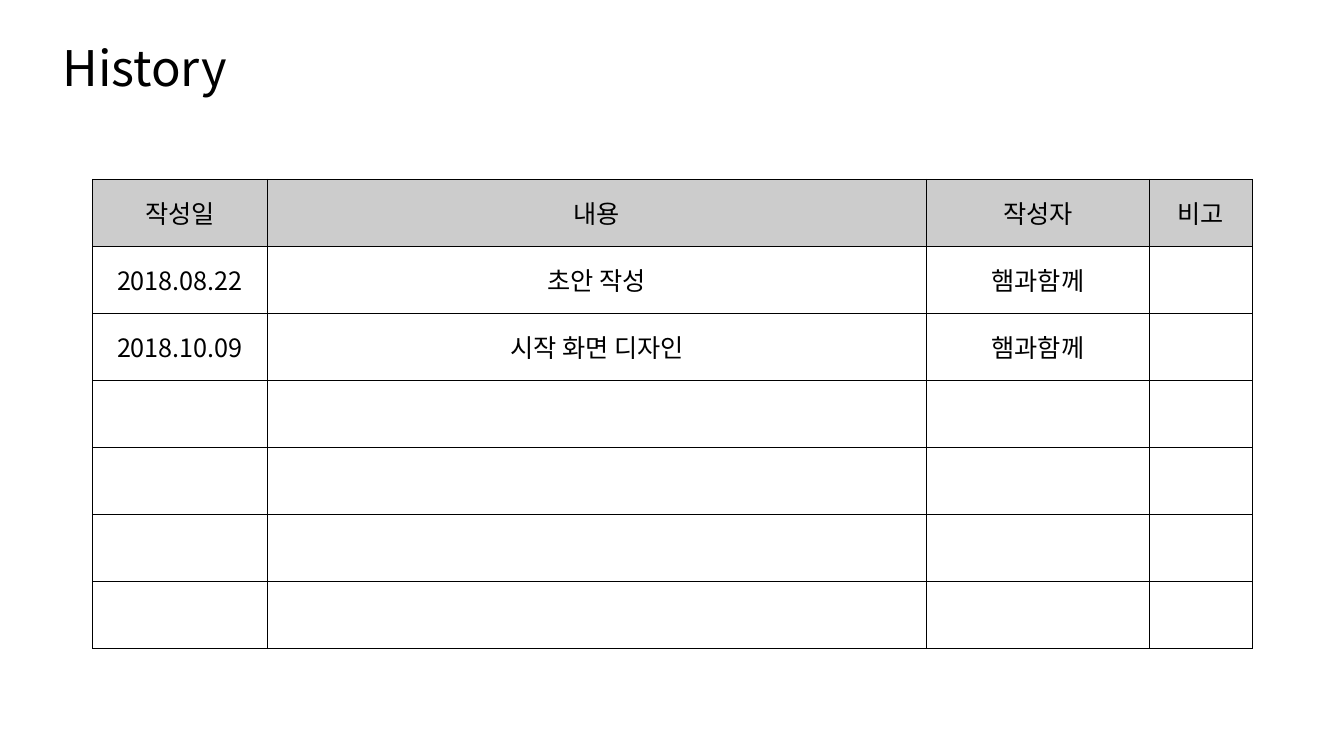
from lxml.etree import SubElement
from pptx import Presentation
from pptx.dml.color import RGBColor
from pptx.enum.text import MSO_ANCHOR, PP_ALIGN
from pptx.oxml.ns import qn
from pptx.util import Inches, Pt

BLACK = RGBColor(0x00, 0x00, 0x00)
HEADER_GRAY = RGBColor(0xCC, 0xCC, 0xCC)
TYPEFACE = "Noto Sans CJK KR"
BORDER_WIDTH = Pt(0.75)
ROW_COUNT = 7
ROW_HEIGHT = 4.65 / ROW_COUNT
COLUMN_WIDTHS = (1.73, 6.54, 2.21, 1.02)
HISTORY = (
    ("작성일", "내용", "작성자", "비고"),
    ("2018.08.22", "초안 작성", "햄과함께", ""),
    ("2018.10.09", "시작 화면 디자인", "햄과함께", ""),
)


class HistoryPage:
    """Holds the shared style and the slide being filled."""

    def __init__(self, page):
        self.page = page
        self.font_format = {"name": TYPEFACE}

    def add_span(self, para, text, size):
        span = para.add_run()
        span.text = text
        for name, value in {**self.font_format, "size": Pt(size)}.items():
            setattr(span.font, name, value)
        span.font.color.rgb = BLACK
        # Hangul takes its typeface from the East Asian slot
        east_asian = SubElement(span.font._element, qn("a:ea"))
        east_asian.set("typeface", TYPEFACE)

    def add_title(self, text, left, top, width, height):
        box = self.page.shapes.add_textbox(
            Inches(left), Inches(top), Inches(width), Inches(height))
        frame_format = {
            "word_wrap": True,
            "vertical_anchor": MSO_ANCHOR.MIDDLE,
            "margin_top": 0,
            "margin_bottom": 0,
        }
        for name, value in frame_format.items():
            setattr(box.text_frame, name, value)
        self.add_span(box.text_frame.paragraphs[0], text, 35)

    def add_history_table(self, entries, left, top):
        frame = self.page.shapes.add_table(
            ROW_COUNT, len(COLUMN_WIDTHS), Inches(left), Inches(top),
            Inches(sum(COLUMN_WIDTHS)), Inches(ROW_HEIGHT * ROW_COUNT))
        table = frame.table
        table.horz_banding = False
        for column, width in zip(table.columns, COLUMN_WIDTHS):
            column.width = Inches(width)
        for row_index, row in enumerate(table.rows):
            row.height = Inches(ROW_HEIGHT)
            for column_index, cell in enumerate(row.cells):
                cell.vertical_anchor = MSO_ANCHOR.MIDDLE
                self.add_borders(cell)
                if row_index == 0:
                    cell.fill.solid()
                    cell.fill.fore_color.rgb = HEADER_GRAY
                else:
                    cell.fill.background()
                text = entries[row_index][column_index] if row_index < len(entries) else ""
                if text:
                    para = cell.text_frame.paragraphs[0]
                    para.alignment = PP_ALIGN.CENTER
                    self.add_span(para, text, 18)

    def add_borders(self, cell):
        properties = cell._tc.get_or_add_tcPr()
        for side in ("a:lnL", "a:lnR", "a:lnT", "a:lnB"):
            line = SubElement(properties, qn(side), w=str(BORDER_WIDTH))
            fill = SubElement(line, qn("a:solidFill"))
            SubElement(fill, qn("a:srgbClr"), val=str(BLACK))


def main():
    deck = Presentation()
    deck.slide_width, deck.slide_height = Inches(13.33), Inches(7.5)
    history_page = HistoryPage(deck.slides.add_slide(deck.slide_layouts[6]))
    history_page.add_title("History", 0.52, 0.32, 11.42, 0.68)
    history_page.add_history_table(HISTORY, 0.92, 1.78)
    deck.save("out.pptx")


if __name__ == "__main__":
    main()
